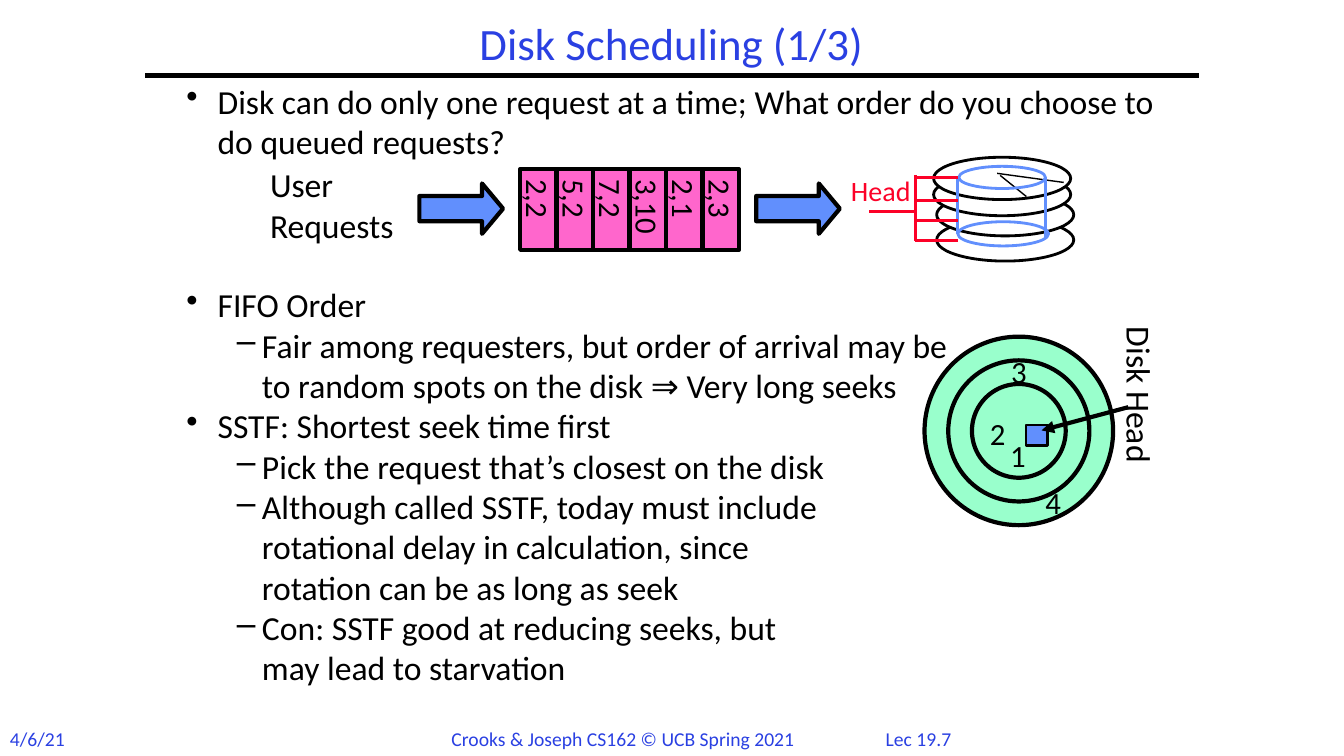
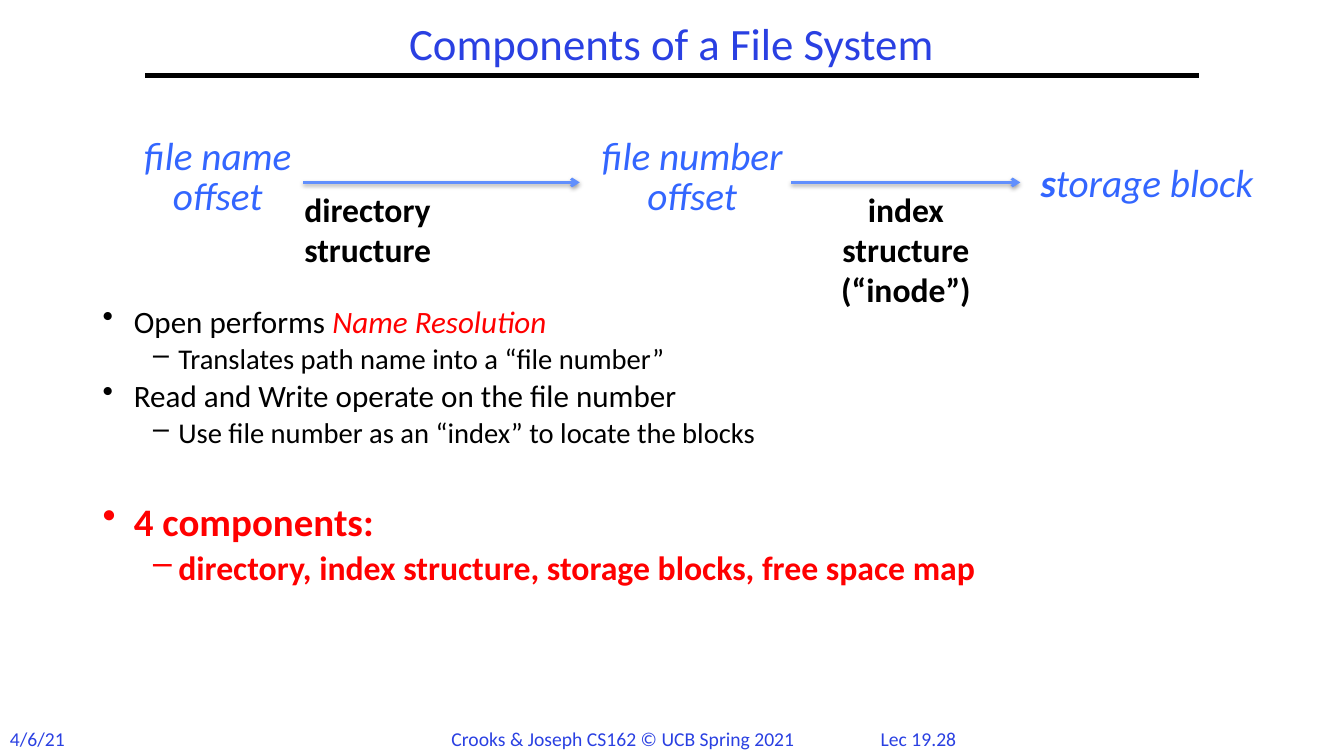
from lxml import etree
from pptx import Presentation
from pptx.dml.color import RGBColor
from pptx.enum.shapes import MSO_CONNECTOR as CONN, MSO_SHAPE as SHAPE
from pptx.enum.text import MSO_ANCHOR as ANCHOR, PP_ALIGN as ALIGN
from pptx.oxml.ns import qn
from pptx.util import Emu, Pt

FONT = "Calibri"
BLACK, WHITE, RED = "000000", "FFFFFF", "FF0000"
TITLE_BLUE, SKY, LABEL_BLUE = "2A40E2", "618FFD", "3366FF"
PINK, MINT, HEAD_RED = "FF66CC", "99FFCC", "FC0128"
BULLETS = (("•", 31, -31), ("–", 75, -25))  # mark, margin, indent


def px(n):
    """100 px to the inch."""
    return Emu(int(n * 9144))


def rgb(color):
    return RGBColor.from_string(color)


def add_runs(p, runs, size, color):
    """Runs are (text, style) pairs; a newline in a text is a line break."""
    for text, style in runs:
        for i, line in enumerate(text.split("\n")):
            if i:
                p.add_line_break()
            r = p.add_run()
            r.text = line
            f = r.font
            f.name, f.size = FONT, Pt(size)
            f.color.rgb = rgb(style.get("color", color))
            f.bold, f.italic = style.get("bold", False), style.get("italic", False)


def set_insets(tf, x, y):
    tf.margin_left = tf.margin_right = px(x)
    tf.margin_top = tf.margin_bottom = px(y)


def add_label(s, box, text, size, color=BLACK, align=ALIGN.LEFT, spacing=None,
              insets=(10, 5), anchor=ANCHOR.TOP, rotation=0, **style):
    """Text box; text is a string or a list of (text, style) runs."""
    sp = s.shapes.add_textbox(*map(px, box))
    sp.rotation = rotation
    tf = sp.text_frame
    tf.word_wrap, tf.vertical_anchor = True, anchor
    set_insets(tf, *insets)
    p = tf.paragraphs[0]
    p.alignment, p.line_spacing = align, spacing
    add_runs(p, [(text, style)] if isinstance(text, str) else text, size, color)


def add_bullets(s, box, items, spacing=1.0):
    """Items are (level, runs, size, space before, color)."""
    tf = s.shapes.add_textbox(*map(px, box)).text_frame
    tf.word_wrap = True
    set_insets(tf, 10, 5)
    for i, (level, runs, size, before, color) in enumerate(items):
        p = tf.add_paragraph() if i else tf.paragraphs[0]
        mark, margin, indent = BULLETS[level]
        pPr = p._p.get_or_add_pPr()
        pPr.set("marL", str(px(margin)))
        pPr.set("indent", str(px(indent)))
        etree.SubElement(pPr, qn("a:buChar")).set("char", mark)
        p.level, p.line_spacing, p.space_before = level, spacing, Pt(before)
        add_runs(p, runs, size, color)


def add_shape(s, kind, box, fill=None, line=BLACK, width=3):
    sp = s.shapes.add_shape(kind, *map(px, box))
    sp.shadow.inherit = False
    if fill:
        sp.fill.solid()
        sp.fill.fore_color.rgb = rgb(fill)
    else:
        sp.fill.background()
    sp.line.color.rgb, sp.line.width = rgb(line), Pt(width)
    return sp


def add_line(s, x1, y1, x2, y2, color=BLACK, width=2, head=None, shadow=False):
    c = s.shapes.add_connector(CONN.STRAIGHT, px(x1), px(y1), px(x2), px(y2))
    c.line.color.rgb, c.line.width = rgb(color), Pt(width)
    if head:
        etree.SubElement(c.line._get_or_add_ln(), qn("a:tailEnd")).set("type", head)
    effects = etree.SubElement(c._element.spPr, qn("a:effectLst"))
    if shadow:
        outer = etree.SubElement(effects, qn("a:outerShdw"), blurRad="40000",
                                 dist="20000", dir="5400000", rotWithShape="0")
        tint = etree.SubElement(outer, qn("a:srgbClr"), val=BLACK)
        etree.SubElement(tint, qn("a:alpha"), val="38000")


def add_base(prs, title, page):
    """New slide with title, rule and footer."""
    s = prs.slides.add_slide(prs.slide_layouts[6])
    add_line(s, 144, 75, 1189, 75, width=3)
    for box, text, align in (
            ((850, 716, 122, 33), f"Lec {page}", ALIGN.CENTER),
            ((0, 716, 80, 34), "4/6/21", ALIGN.LEFT),
            ((438, 716, 376, 34), "Crooks & Joseph CS162 © UCB Spring 2021", ALIGN.LEFT)):
        add_label(s, box, text, 14, TITLE_BLUE, align)
    add_label(s, (144, 17, 1044, 58), title, 32, TITLE_BLUE, ALIGN.CENTER, 0.9,
              anchor=ANCHOR.MIDDLE)
    return s


def add_queue(s):
    """User requests flowing through the queue to the disk."""
    for i, request in enumerate(("2,2", "5,2", "7,2", "3,10", "2,1", "2,3")):
        cell = add_shape(s, SHAPE.RECTANGLE, (516 + 36.2 * i, 168, 36, 80), PINK)
        tf = cell.text_frame
        tf.word_wrap, tf.vertical_anchor = False, ANCHOR.MIDDLE
        set_insets(tf, 10, 5)
        tf._txBody.bodyPr.set("vert", "eaVert")
        tf.paragraphs[0].alignment = ALIGN.LEFT
        add_runs(tf.paragraphs[0], [(request, {})], 22, BLACK)
    for x in (416, 750):
        arrow = add_shape(s, SHAPE.RIGHT_ARROW, (x, 182, 83, 50), SKY)
        arrow.adjustments[0], arrow.adjustments[1] = 0.5, 0.417
    add_label(s, (258, 158, 162, 91), "User\nRequests", 24)


def add_disk_stack(s):
    """Platters, cylinder and head arm."""
    for x, y in ((929, 217), (929, 192), (926, 172), (926, 156)):
        add_shape(s, SHAPE.OVAL, (x, y, 136, 42), WHITE, width=2)
    add_line(s, 992, 174, 1018, 195, width=1)
    add_line(s, 989, 172, 1055, 181, width=1)
    for box in ((950, 220, 90, 24), (951, 165, 86, 22)):
        add_shape(s, SHAPE.OVAL, box, line=SKY, width=2)
    add_line(s, 950, 176, 950, 232, SKY)
    add_line(s, 1037, 176, 1037, 236, SKY)
    add_label(s, (837, 174, 81, 34), "Head", 20, HEAD_RED, spacing=0.85, insets=(7, 3))
    add_line(s, 908, 174, 908, 239, HEAD_RED)
    for y in (176, 199, 219, 239):
        add_line(s, 908, y, 950, y, HEAD_RED)
    add_line(s, 909, 210, 862, 210, HEAD_RED)


def add_disk_tracks(s):
    """Disk from above, with the order of the seeks."""
    for radius in (93.5, 70, 46.5):
        box = (1010.5 - radius, 427.5 - radius, 2 * radius, 2 * radius)
        add_shape(s, SHAPE.OVAL, box, MINT)
    add_shape(s, SHAPE.RECTANGLE, (1018, 422, 21, 20), SKY, width=1.5)
    for digit, x, y in (("1", 992, 428), ("4", 1027, 475), ("2", 972, 407), ("3", 993, 345)):
        add_label(s, (x, y, 37, 47), digit, 22)
    add_label(s, (1043, 377, 175, 50), "Disk Head", 24, rotation=90)
    add_line(s, 1119, 404, 1033, 427, width=3, head="triangle")


def build_scheduling(prs):
    s = add_base(prs, "Disk Scheduling (1/3)", "19.7")
    items = (
        (0, "Disk can do only one request at a time; What order do you choose to "
            "do queued requests?", 0),
        (0, "FIFO Order", 88),
        (1, "Fair among requesters, but order of arrival may be\n"
            "to random spots on the disk ⇒ Very long seeks", 0),
        (0, "SSTF: Shortest seek time first", 0),
        (1, "Pick the request that’s closest on the disk", 0),
        (1, "Although called SSTF, today must include\n"
            "rotational delay in calculation, since\nrotation can be as long as seek", 0),
        (1, "Con: SSTF good at reducing seeks, but\nmay lead to starvation", 0))
    add_bullets(s, (175, 75, 992, 658),
                [(level, [(text, {})], 24, before, BLACK) for level, text, before in items])
    add_queue(s)
    add_disk_stack(s)
    add_disk_tracks(s)


def build_components(prs):
    s = add_base(prs, "Components of a File System", "19.28")
    bold = {"bold": True}
    add_bullets(s, (92, 302, 1220, 313), (
        (0, [("Open performs ", {}), ("Name Resolution", {"color": RED, "italic": True})],
         22.2, 0, BLACK),
        (1, [("Translates path name into a “file number”", {})], 20.4, 6, BLACK),
        (0, [("Read and Write operate on the file number", {})], 22.2, 6, BLACK),
        (1, [("Use file number as an “index” to locate the blocks", {})], 20.4, 6, BLACK),
        (0, [("4 components:", bold)], 27.8, 41, RED),
        (1, [("directory, index structure, storage blocks, free space map", bold)],
         24.1, 7.5, RED)), spacing=0.8)

    # Lookup chain: names, arrows, and the structure under each arrow
    for box, text in (((126, 133, 180, 90), "file name\noffset"),
                      ((579, 133, 215, 90), "file number\noffset")):
        add_label(s, box, text, 28, LABEL_BLUE, ALIGN.CENTER, 0.85, italic=True)
    add_label(s, (1009, 152, 257, 57),
              [("s", {"bold": True, "italic": True}), ("torage block", {"italic": True})],
              28, LABEL_BLUE, ALIGN.CENTER)
    for x1, x2 in ((301, 575), (785, 1012)):
        add_line(s, x1, 181, x2, 181, SKY, head="arrow", shadow=True)
    add_label(s, (292, 182, 269, 91), "directory\nstructure", 24, bold=True)
    add_label(s, (788, 182, 221, 131), "index\nstructure\n(“inode”)", 24,
              align=ALIGN.CENTER, bold=True)


def main():
    prs = Presentation()
    prs.slide_width, prs.slide_height = px(1333), px(750)
    build_scheduling(prs)
    build_components(prs)
    prs.save("out.pptx")


if __name__ == "__main__":
    main()
